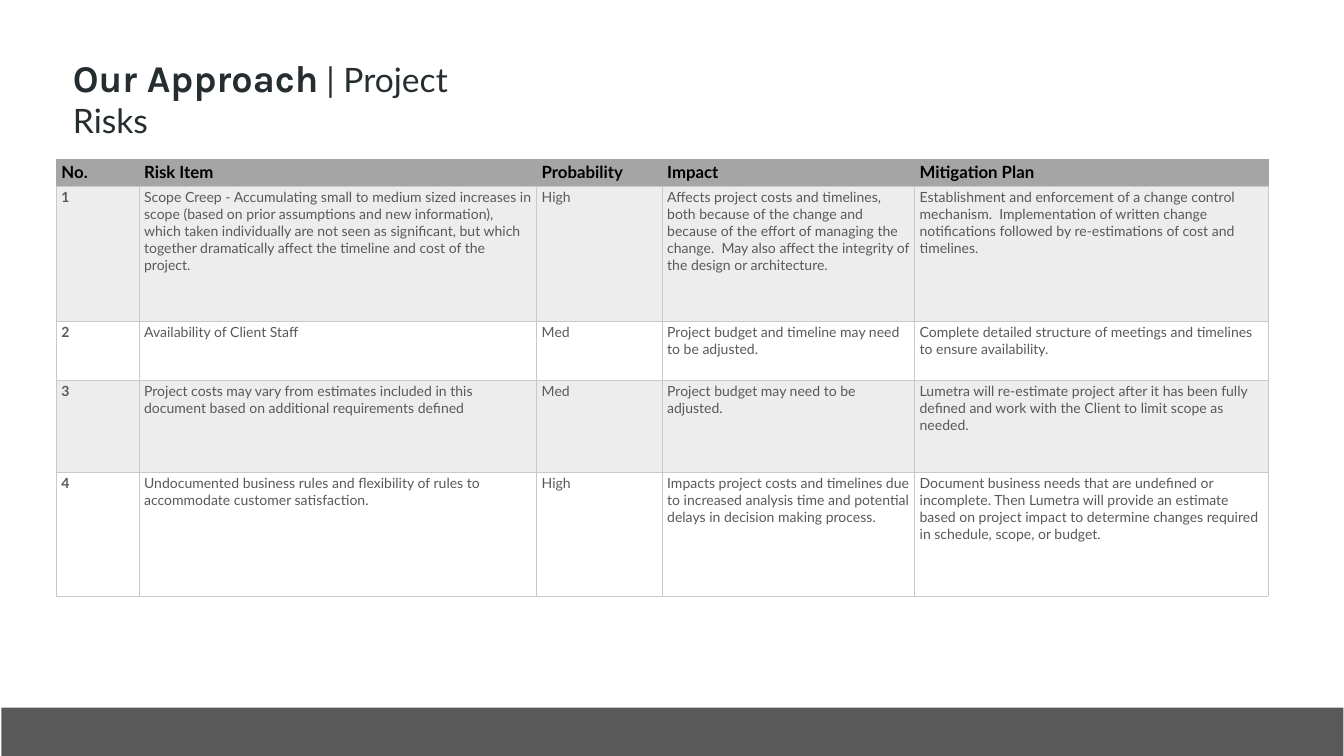
from lxml import etree
from pptx import Presentation
from pptx.dml.color import RGBColor
from pptx.enum.shapes import MSO_SHAPE
from pptx.oxml.ns import qn
from pptx.util import Inches, Pt

RECTANGLE = MSO_SHAPE.RECTANGLE
BLACK = RGBColor(0x00, 0x00, 0x00)
INK = RGBColor(0x25, 0x2D, 0x30)
GRAY = RGBColor(0x59, 0x59, 0x59)
HEADER_GRAY = RGBColor(0xA5, 0xA5, 0xA5)
BORDER_GRAY = RGBColor(0xC9, 0xC9, 0xC9)
BAND_GRAY = RGBColor(0xED, 0xED, 0xED)

COLUMN_WIDTHS = [1.64, 7.89, 2.49, 5.01, 7.01]
ROW_HEIGHTS = [0.54, 2.67, 1.18, 1.82, 2.46]
RISKS = [
    ["No.", "Risk Item", "Probability", "Impact", "Mitigation Plan"],
    ["1",
     "Scope Creep - Accumulating small to medium sized increases in scope (based on prior "
     "assumptions and new information), which taken individually are not seen as significant, "
     "but which together dramatically affect the timeline and cost of the project.",
     "High",
     "Affects project costs and timelines, both because of the change and because of the effort "
     "of managing the change.  May also affect the integrity of the design or architecture.",
     "Establishment and enforcement of a change control mechanism.  Implementation of written "
     "change notifications followed by re-estimations of cost and timelines."],
    ["2", "Availability of Client Staff", "Med",
     "Project budget and timeline may need to be adjusted.",
     "Complete detailed structure of meetings and timelines to ensure availability."],
    ["3",
     "Project costs may vary from estimates included in this document based on additional "
     "requirements defined",
     "Med",
     "Project budget may need to be adjusted.",
     "Lumetra will re-estimate project after it has been fully defined and work with the Client "
     "to limit scope as needed."],
    ["4",
     "Undocumented business rules and flexibility of rules to accommodate customer satisfaction.",
     "High",
     "Impacts project costs and timelines due to increased analysis time and potential delays "
     "in decision making process.",
     "Document business needs that are undefined or incomplete. Then Lumetra will provide an "
     "estimate based on project impact to determine changes required in schedule, scope, or "
     "budget."],
]


def add_text(paragraph, text, size=20, color=GRAY, font="Lato", bold=False):
    """Append a formatted run to a paragraph."""
    run = paragraph.add_run()
    run.text = text
    run.font.name = font
    run.font.size = Pt(size)
    run.font.bold = bold
    run.font.color.rgb = color


def set_borders(cell, colors):
    """Draw cell borders from a mapping of side to colour, in schema order."""
    properties = cell._tc.get_or_add_tcPr()
    for position, (side, color) in enumerate(colors.items()):
        line = etree.Element(qn(f"a:ln{side}"), w=str(Pt(0.75)))
        fill = etree.SubElement(line, qn("a:solidFill"))
        etree.SubElement(fill, qn("a:srgbClr"), val=str(color))
        properties.insert(position, line)


def add_footer(slide, left, top, width, height):
    """Add the plain band along the bottom edge."""
    band = slide.shapes.add_shape(
        RECTANGLE, Inches(left), Inches(top), Inches(width), Inches(height))
    band.shadow.inherit = False
    band.fill.solid()
    band.fill.fore_color.rgb = GRAY
    band.line.fill.background()


def add_title(slide, left, top, width, height):
    """Add the two-part slide title."""
    box = slide.shapes.add_textbox(Inches(left), Inches(top), Inches(width), Inches(height))
    box.text_frame.word_wrap = True
    paragraph = box.text_frame.paragraphs[0]
    add_text(paragraph, "Our Approach", size=54, color=INK, font="Karla", bold=True)
    add_text(paragraph, " ", size=48, color=INK, font="Karla")
    add_text(paragraph, "| Project Risks", size=48, color=INK)


def add_risk_table(slide, left, top):
    """Add the risk table with its header and alternating row bands."""
    table = slide.shapes.add_table(
        len(RISKS), len(COLUMN_WIDTHS), Inches(left), Inches(top),
        Inches(sum(COLUMN_WIDTHS)), Inches(sum(ROW_HEIGHTS))).table
    table.horz_banding = False
    for column, width in zip(table.columns, COLUMN_WIDTHS):
        column.width = Inches(width)
    for row_index, (row, height) in enumerate(zip(table.rows, ROW_HEIGHTS)):
        row.height = Inches(height)
        is_header = row_index == 0
        side_color = HEADER_GRAY if is_header else BORDER_GRAY
        for column_index, cell in enumerate(row.cells):
            add_text(cell.text_frame.paragraphs[0], RISKS[row_index][column_index],
                     size=24 if is_header else 20, color=BLACK if is_header else GRAY,
                     bold=is_header or column_index == 0)
            if is_header or row_index % 2:
                cell.fill.solid()
                cell.fill.fore_color.rgb = HEADER_GRAY if is_header else BAND_GRAY
            else:
                cell.fill.background()
            set_borders(cell, {"L": side_color, "R": side_color,
                               "T": side_color, "B": BORDER_GRAY})


def main():
    """Build and save the project risks slide."""
    presentation = Presentation()
    presentation.slide_width = Inches(26.67)
    presentation.slide_height = Inches(15)
    slide = presentation.slides.add_slide(presentation.slide_layouts[6])
    add_footer(slide, 0.03, 14.04, 26.63, 0.96)
    add_title(slide, 1.35, 1.04, 8.5, 1.01)
    add_risk_table(slide, 1.12, 3.16)
    presentation.save("out.pptx")


if __name__ == "__main__":
    main()
